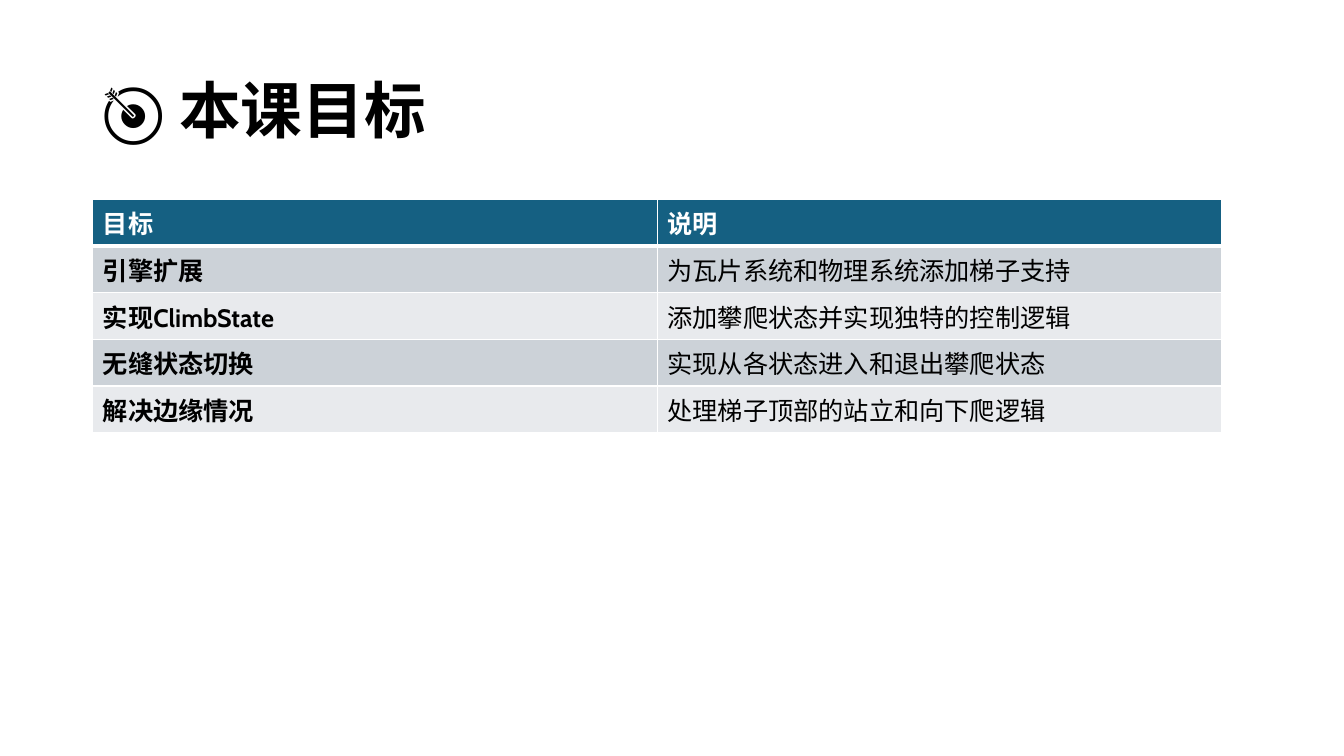
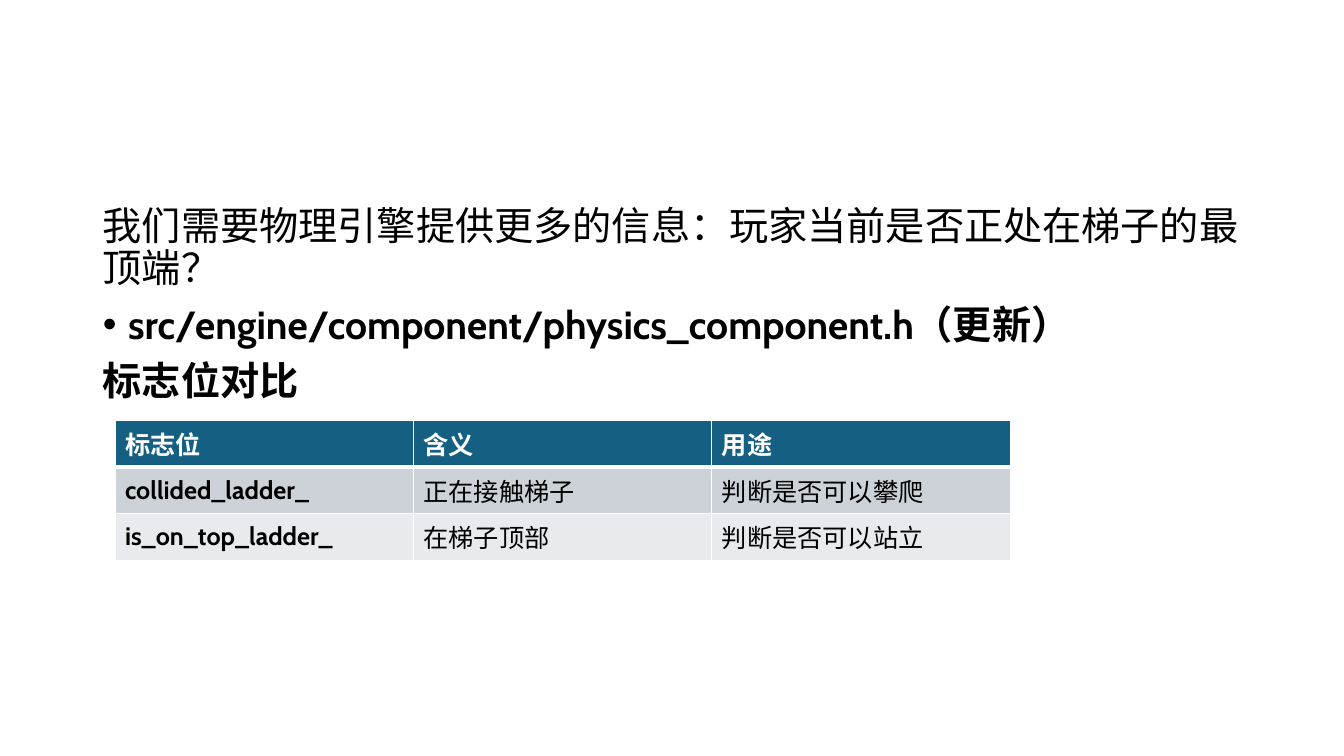
import pptx
import pptx.dml.color
import pptx.enum.text
import pptx.oxml
import pptx.oxml.ns
import pptx.util

PX = 9144  # EMU per px, 100 px to the inch
FONT = "Cabin"
COLORS = {
    "text": "000000",
    "white": "FFFFFF",
    "header": "156082",
    "band_dark": "CCD2D8",
    "band_light": "E8EAED",
}


def write(p, text, size=18, bold=False, color="text", spacing=None, before=0, bullet=None):
    """Fill paragraph p with text; bullet is None (inherit), "" (none) or a character."""
    if bullet is not None:
        pPr = p._p.get_or_add_pPr()
        indent = 25 * PX if bullet else 0
        pPr.set("marL", str(indent))
        pPr.set("indent", str(-indent))
        tag = f'a:buChar char="{bullet}"' if bullet else "a:buNone"
        pPr.append(pptx.oxml.parse_xml(f"<{tag} {pptx.oxml.ns.nsdecls('a')}/>"))
    if spacing:
        p.line_spacing = spacing
    p.space_before = pptx.util.Pt(before)
    r = p.add_run()
    r.text = text
    r.font.name = FONT
    r.font.size = pptx.util.Pt(size)
    r.font.bold = bold
    r.font.color.rgb = pptx.dml.color.RGBColor.from_string(COLORS[color])


def add_grid(slide, left, top, col_width, rows):
    """Add a table with a header row, banded body rows and a bold first column."""
    cols = len(rows[0])
    row_height = 41
    table = slide.shapes.add_table(
        len(rows), cols, left * PX, top * PX,
        cols * col_width * PX, len(rows) * row_height * PX).table
    for col in table.columns:
        col.width = col_width * PX
    for i, row in enumerate(rows):
        table.rows[i].height = row_height * PX
        fill = "header" if i == 0 else "band_dark" if i % 2 else "band_light"
        widths = {"L": 1, "R": 1, "T": 3 if i == 1 else 1, "B": 3 if i == 0 else 1}
        for j, text in enumerate(row):
            cell = table.cell(i, j)
            tcPr = cell._tc.get_or_add_tcPr()
            for side, width in widths.items():
                tcPr.append(pptx.oxml.parse_xml(
                    f'<a:ln{side} {pptx.oxml.ns.nsdecls("a")} w="{pptx.util.Pt(width)}">'
                    f'<a:solidFill><a:srgbClr val="{COLORS["white"]}"/></a:solidFill>'
                    f'</a:ln{side}>'))
            cell.fill.solid()
            cell.fill.fore_color.rgb = pptx.dml.color.RGBColor.from_string(COLORS[fill])
            cell.vertical_anchor = pptx.enum.text.MSO_ANCHOR.MIDDLE
            write(cell.text_frame.paragraphs[0], text, bold=i == 0 or j == 0,
                  color="white" if i == 0 else "text")


prs = pptx.Presentation()
prs.slide_width = 1333 * PX
prs.slide_height = 750 * PX

# Lesson goals
slide = prs.slides.add_slide(prs.slide_layouts.get_by_name("Title Only"))
title = slide.shapes.title
title.left, title.top, title.width, title.height = 92 * PX, 40 * PX, 1150 * PX, 145 * PX
tf = title.text_frame
tf.auto_size = pptx.enum.text.MSO_AUTO_SIZE.NONE
tf.vertical_anchor = pptx.enum.text.MSO_ANCHOR.MIDDLE
p = tf.paragraphs[0]
p.alignment = pptx.enum.text.PP_ALIGN.LEFT
write(p, "🎯 本课目标", size=44, bold=True, spacing=0.9)

add_grid(slide, 92, 198, 560, [
    ["目标", "说明"],
    ["引擎扩展", "为瓦片系统和物理系统添加梯子支持"],
    ["实现ClimbState", "添加攀爬状态并实现独特的控制逻辑"],
    ["无缝状态切换", "实现从各状态进入和退出攀爬状态"],
    ["解决边缘情况", "处理梯子顶部的站立和向下爬逻辑"],
])

# Ladder flags
slide = prs.slides.add_slide(prs.slide_layouts.get_by_name("Title and Content"))
title = slide.shapes.title
title._element.getparent().remove(title._element)
body = slide.placeholders[1]
body.left, body.top, body.width, body.height = 92 * PX, 200 * PX, 1150 * PX, 476 * PX
tf = body.text_frame
tf.auto_size = pptx.enum.text.MSO_AUTO_SIZE.NONE
lines = [
    ("我们需要物理引擎提供更多的信息：玩家当前是否正处在梯子的最顶端？", False, ""),
    ("src/engine/component/physics_component.h（更新）", True, "•"),
    ("标志位对比", True, ""),
]
for i, (text, bold, bullet) in enumerate(lines):
    p = tf.add_paragraph() if i else tf.paragraphs[0]
    write(p, text, size=28, bold=bold, spacing=0.9, before=10 if i else 0, bullet=bullet)

add_grid(slide, 114, 417, 296, [
    ["标志位", "含义", "用途"],
    ["collided_ladder_", "正在接触梯子", "判断是否可以攀爬"],
    ["is_on_top_ladder_", "在梯子顶部", "判断是否可以站立"],
])

prs.save("out.pptx")
